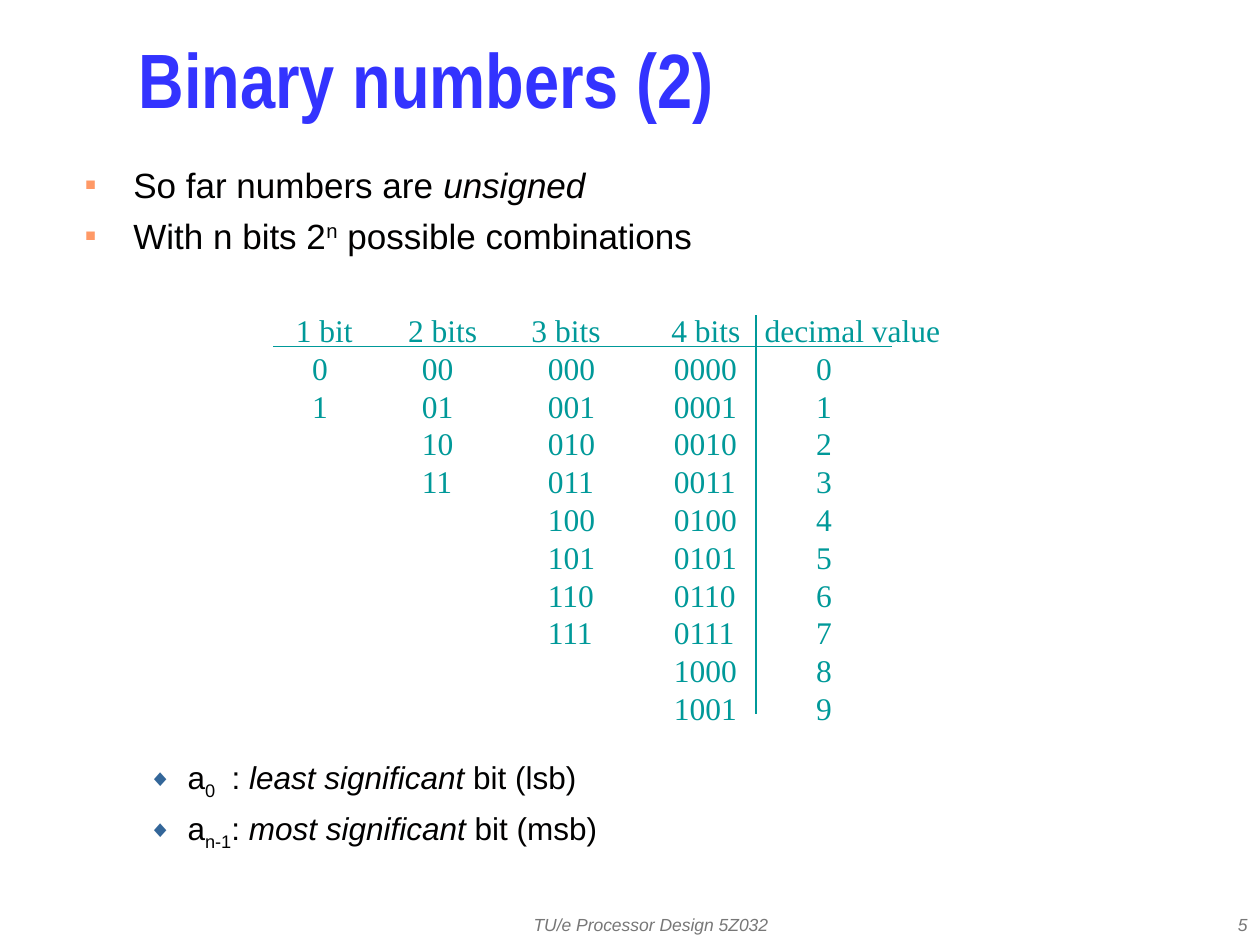
from pptx import Presentation
from pptx.dml.color import RGBColor
from pptx.enum.shapes import MSO_CONNECTOR
from pptx.enum.text import MSO_ANCHOR, MSO_AUTO_SIZE, PP_ALIGN
from pptx.oxml.ns import qn
from pptx.util import Inches, Pt
from lxml.etree import SubElement

COLORS = {
    "title": "3333FF",
    "text": "010000",
    "table": "009999",
    "footer": "777777",
    "square": "FF9966",
    "diamond": "336699",
}
# Per bullet level: symbol, colour, size in %, left margin, hang, text size, space before
SQUARE = ("■", "square", 50, 0.38, 0.38, 20, 5)
DIAMOND = ("◆", "diamond", 75, 0.81, 0.31, 18, 4.5)
HEADERS = ["1 bit", "2 bits", "3 bits", "4 bits", "decimal value"]
HEADER_TABS = [0.89, 1.87, 2.98, 3.72]
VALUE_TABS = [0.13, 1, 2, 3, 4.13]


def style_font(font, name, size, color, bold=False, italic=False):
    font.name, font.size, font.bold, font.italic = name, Pt(size), bold, italic
    font.color.rgb = RGBColor.from_string(COLORS[color])


def add_box(page, left, top, width, height):
    box = page.shapes.add_textbox(Inches(left), Inches(top), Inches(width), Inches(height))
    box.text_frame.word_wrap = True
    return box.text_frame


def next_paragraph(frame, index):
    return frame.add_paragraph() if index else frame.paragraphs[0]


def add_tabs(para, stops):
    tabs = SubElement(para._p.get_or_add_pPr(), qn("a:tabLst"))
    for stop in stops:
        SubElement(tabs, qn("a:tab"), pos=str(Inches(stop)), algn="l")


def add_bullet(para, level):
    symbol, color, percent, margin, hang, _, _ = level
    properties = para._p.get_or_add_pPr()
    properties.set("marL", str(Inches(margin)))
    properties.set("indent", str(-Inches(hang)))
    SubElement(SubElement(properties, qn("a:buClr")), qn("a:srgbClr"), val=COLORS[color])
    SubElement(properties, qn("a:buSzPct"), val=str(percent * 1000))
    SubElement(properties, qn("a:buFont"), typeface="Arial")
    SubElement(properties, qn("a:buChar"), char=symbol)


def add_bullets(page, place, items, level, stops=()):
    """Each item is a list of (text, style); style is "", "italic" or a baseline shift in %."""
    frame = add_box(page, *place)
    for index, item in enumerate(items):
        para = next_paragraph(frame, index)
        if index:
            para.space_before = Pt(level[6])
        add_bullet(para, level)
        if stops:
            add_tabs(para, stops)
        for text, style in item:
            span = para.add_run()
            span.text = text
            style_font(span.font, "Arial", level[5], "text", italic=style == "italic")
            if isinstance(style, int):
                span._r.get_or_add_rPr().set("baseline", str(style * 1000))


def binary_row(value):
    """The value in each width that can hold it, then in decimal."""
    cells = [format(value, f"0{bits}b") if value < 2 ** bits else "" for bits in range(1, 5)]
    return "\t" + "\t".join(cells + [str(value)])


def add_number_columns(page):
    frame = add_box(page, 2.25, 2.42, 5.5, 3.4)
    lines = ["\t".join(HEADERS)] + [binary_row(value) for value in range(10)]
    for index, line in enumerate(lines):
        para = next_paragraph(frame, index)
        para.text = line
        add_tabs(para, VALUE_TABS if index else HEADER_TABS)
        for span in para.runs:
            style_font(span.font, "Times New Roman", 18, "table")


def add_rule(page, *ends):
    rule = page.shapes.add_connector(MSO_CONNECTOR.STRAIGHT, *map(Inches, ends))
    rule.line.color.rgb = RGBColor.from_string(COLORS["table"])
    rule.line.width = Pt(1)
    SubElement(rule._element.spPr, qn("a:effectLst"))


def add_footer(page, text, left, width, alignment):
    frame = add_box(page, left, 7.17, width, 0.33)
    frame.vertical_anchor = MSO_ANCHOR.MIDDLE
    frame.text = text
    para = frame.paragraphs[0]
    para.alignment = alignment
    style_font(para.runs[0].font, "Arial", 10, "footer", italic=True)


def set_title(page, text):
    title = page.shapes.title
    title.left, title.top, title.width, title.height = map(Inches, (1, 0.17, 8.58, 1.08))
    frame = title.text_frame
    frame.text = text
    frame.auto_size = MSO_AUTO_SIZE.NONE
    frame.vertical_anchor = MSO_ANCHOR.MIDDLE
    para = frame.paragraphs[0]
    para.alignment = PP_ALIGN.LEFT
    para.line_spacing = 0.7
    style_font(para.runs[0].font, "Arial Narrow", 44, "title", bold=True)


def main():
    deck = Presentation()
    deck.slide_width, deck.slide_height = Inches(10), Inches(7.5)
    page = deck.slides.add_slide(deck.slide_layouts[5])

    add_footer(page, "TU/e Processor Design 5Z032", 3.58, 3.17, PP_ALIGN.CENTER)
    add_footer(page, "5", 7.92, 2.08, PP_ALIGN.RIGHT)
    set_title(page, "Binary numbers (2)")
    add_bullets(page, (0.58, 1.25, 9.08, 0.9), [
        [("So far numbers are ", ""), ("unsigned", "italic")],
        [("With n bits 2", ""), ("n", 30), (" possible combinations", "")],
    ], SQUARE)
    add_number_columns(page)
    add_rule(page, 2.17, 2.75, 7.08, 2.75)
    add_rule(page, 6, 2.5, 6, 5.67)
    add_bullets(page, (0.58, 5.97, 9.08, 0.9), [
        [("a", ""), ("0", -25), ("\t: ", ""), ("least significant", "italic"), (" bit (lsb)", "")],
        [("a", ""), ("n-1", -25), (": ", ""), ("most significant", "italic"), (" bit (msb)", "")],
    ], DIAMOND, stops=[1.16])

    deck.save("out.pptx")


if __name__ == "__main__":
    main()
